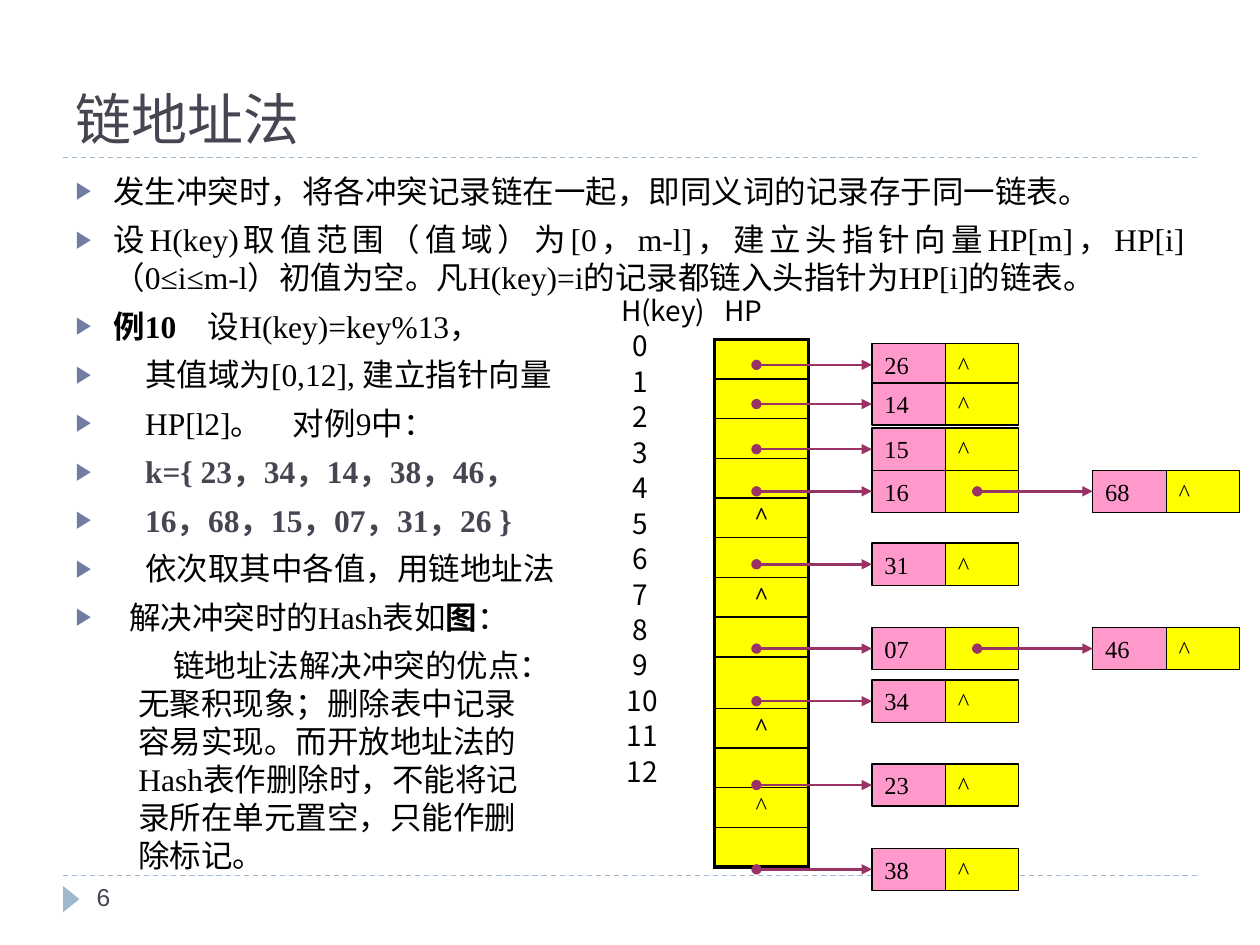
from pptx import Presentation
from pptx.dml.color import RGBColor
from pptx.enum.dml import MSO_LINE_DASH_STYLE as Dash
from pptx.enum.shapes import MSO_CONNECTOR as Connector, MSO_SHAPE as Shape
from pptx.enum.text import MSO_ANCHOR as Anchor, MSO_AUTO_SIZE as AutoSize, PP_ALIGN as Align
from pptx.oxml.ns import qn
from pptx.oxml.xmlchemy import OxmlElement
from pptx.util import Cm, Pt

BLACK, INK, YELLOW, PINK = "000000", "464653", "FFFF00", "FF99CC"
PLUM, PALE_BLUE, BULLET_BLUE = "993366", "9FB8CD", "727CA3"
SERIF, SANS, CHINESE = "Times New Roman", "Arial", "Noto Sans CJK SC"

BODY_LINES = [
    (0.76, [("发生冲突时，将各冲突记录链在一起，即同义词的记录存于同一链表。",)]),
    (0.76, [("设H(key)取值范围（值域）为[0，m-l]，建立头指针向量HP[m]，HP[i]"
             "（0≤i≤m-l）初值为空。凡H(key)=i的记录都链入头指针为HP[i]的链表。",)]),
    (0.76, [("例10", BLACK, True), (" ", BLACK, True, 13.5), ("设H(key)=key%13，",)]),
    (1.4, [("其值域为[0,12], 建立指针向量",)]),
    (1.4, [("HP[l2]。",), (" ", BLACK, False, 13.5), ("对例9中：",)]),
    (1.4, [("k={ 23，34，14，38，46，", INK, True)]),
    (1.4, [("16，68，15，07，31，26 }", INK, True)]),
    (1.4, [("依次取其中各值，用链地址法",)]),
    (1.08, [("解决冲突时的Hash表如",), ("图", BLACK, True), ("：",)]),
]
CHAINS = [
    (6.93, ["26"]), (7.72, ["14"]), (8.63, ["15"]), (9.48, ["16", "68"]),
    (10.95, ["31"]), (12.65, ["07", "46"]), (13.71, ["34"]),
    (15.4, ["23"]), (17.1, ["38"]),
]
EMPTY_BUCKETS = {4: True, 6: True, 9: True, 11: False}


def color(value):
    return RGBColor.from_string(value)


def add_element(parent, tag, **attributes):
    element = OxmlElement(tag)
    for name, value in attributes.items():
        element.set(name, str(value))
    parent.append(element)
    return element


def add_span(para, text, size, font, ink=BLACK, bold=False, spacing=0):
    span = para.add_run()
    span.text = text
    span.font.size = Pt(size)
    span.font.name = font
    span.font.bold = bold
    span.font.color.rgb = color(ink)
    properties = span.font._element
    add_element(properties, "a:ea", typeface=CHINESE)
    if spacing:
        properties.set("spc", str(int(spacing * 100)))


def indent(para, left, first):
    properties = para._p.get_or_add_pPr()
    properties.set("marL", str(Cm(left)))
    properties.set("indent", str(Cm(first)))
    return properties


def next_para(frame, index):
    return frame.add_paragraph() if index else frame.paragraphs[0]


def place(shape, left, top, width, height):
    shape.left, shape.top = Cm(left), Cm(top)
    shape.width, shape.height = Cm(width), Cm(height)


def add_text_box(page, left, top, width, height):
    box = page.shapes.add_textbox(Cm(left), Cm(top), Cm(width), Cm(height))
    box.text_frame.word_wrap = True
    return box.text_frame


def add_line(page, left, top, length, ink, weight):
    line = page.shapes.add_connector(
        Connector.STRAIGHT, Cm(left), Cm(top), Cm(left + length), Cm(top))
    line.line.color.rgb = color(ink)
    line.line.width = Pt(weight)
    add_element(line._element.spPr, "a:effectLst")
    return line


def add_arrow(page, left, top, length):
    line = add_line(page, left, top, length, PLUM, 1.5).line._get_or_add_ln()
    add_element(line, "a:headEnd", type="oval")
    add_element(line, "a:tailEnd", type="triangle")


def draw_frame(page, left, top, width, height):
    for edge in (top, top + height):
        add_line(page, left, edge, width, PALE_BLUE, 0.75).line.dash_style = Dash.DASH
    marker = page.shapes.add_shape(
        Shape.ISOSCELES_TRIANGLE, Cm(left - 0.1), Cm(top + height + 0.31), Cm(0.53), Cm(0.33))
    marker.rotation = 90
    marker.shadow.inherit = False
    marker.fill.solid()
    marker.fill.fore_color.rgb = color(PALE_BLUE)
    marker.line.fill.background()
    number = add_text_box(page, left + 0.43, top + height, 5.51, 1.02)
    add_span(number.paragraphs[0], "6", 14, SANS, INK)


def fill_title(page, left, top, width, height):
    title = page.shapes.title
    place(title, left, top, width, height)
    title.text_frame.vertical_anchor = Anchor.BOTTOM
    title.text_frame.auto_size = AutoSize.NONE
    para = title.text_frame.paragraphs[0]
    para.alignment = Align.LEFT
    add_span(para, "链地址法", 32, SANS, INK)


def fill_body(page, left, top, width, height):
    body = page.placeholders[1]
    place(body, left, top, width, height)
    body.text_frame.auto_size = AutoSize.NONE
    for index, (margin, spans) in enumerate(BODY_LINES):
        para = next_para(body.text_frame, index)
        para.alignment = Align.JUSTIFY if index < 2 else Align.LEFT
        para.line_spacing = Pt(21.7)
        para.space_before = Pt(6)
        properties = indent(para, margin, -margin)
        add_element(add_element(properties, "a:buClr"), "a:srgbClr", val=BULLET_BLUE)
        add_element(properties, "a:buSzPct", val=76000)
        add_element(properties, "a:buFont", typeface=SANS)
        add_element(properties, "a:buChar", char="▶")
        for text, *style in spans:
            add_span(para, text, 18, SERIF, *style)


def draw_remark(page, left, top, width, height):
    para = add_text_box(page, left, top, width, height).paragraphs[0]
    para.line_spacing = Pt(21.7)
    indent(para, 0, 0.7)
    add_span(para, "链地址法解决冲突的优点：无聚积现象；删除表中记录容易实现。"
             "而开放地址法的Hash表作删除时，不能将记录所在单元置空，只能作删除标记。", 18, SERIF)


def draw_hash_labels(page, left, top, width, height):
    frame = add_text_box(page, left, top, width, height)
    for index, label in enumerate(["H(key)", *map(str, range(13))]):
        para = next_para(frame, index)
        para.line_spacing = 0.8
        if index:
            para.space_before = Pt(4.9)
            indent(para, 0.23 if len(label) == 1 else 0.12, 0)
        add_span(para, label, 16, CHINESE)
        if not index:
            add_span(para, " ", 16, CHINESE, spacing=7.2)
            add_span(para, "HP", 16, CHINESE)


def draw_buckets(page, left, top, width, row_height):
    table = page.shapes.add_table(
        13, 1, Cm(left), Cm(top), Cm(width), Cm(row_height * 13)).table
    table.first_row = table.horz_banding = False
    for index, row in enumerate(table.rows):
        row.height = Cm(1.04 if index == 8 else row_height)
        cell = row.cells[0]
        cell.margin_top, cell.margin_bottom = Cm(0.1), 0
        para = cell.text_frame.paragraphs[0]
        para.alignment = Align.CENTER
        if index in EMPTY_BUCKETS:
            add_span(para, "^", 14, SERIF, bold=EMPTY_BUCKETS[index])
        else:
            add_element(para._p, "a:endParaRPr", sz=1200)
        properties = cell._tc.get_or_add_tcPr()
        weights = {"L": 2.25, "R": 2.25, "T": 1 if index else 2.25, "B": 2.25 if index == 12 else 1}
        for side, weight in weights.items():
            border = add_element(properties, "a:ln" + side, w=Pt(weight))
            add_element(add_element(border, "a:solidFill"), "a:srgbClr", val=BLACK)
        cell.fill.solid()
        cell.fill.fore_color.rgb = color(YELLOW)


def draw_node_cell(page, left, top, width, height, fill, text):
    box = page.shapes.add_shape(Shape.RECTANGLE, Cm(left), Cm(top), Cm(width), Cm(height))
    box.shadow.inherit = False
    box.fill.solid()
    box.fill.fore_color.rgb = color(fill)
    box.line.color.rgb = color(BLACK)
    box.line.width = Pt(0.75)
    if text:
        box.text_frame.word_wrap = False
        box.text_frame.vertical_anchor = Anchor.MIDDLE
        para = box.text_frame.paragraphs[0]
        para.alignment = Align.LEFT
        add_span(para, text, 14, SERIF)


def draw_chain(page, left, top, keys, width=1.48, height=0.85):
    for index, key in enumerate(keys):
        x = left + index * 4.45
        pointer = "^" if index == len(keys) - 1 else ""
        draw_node_cell(page, x, top, width, height, PINK, key)
        draw_node_cell(page, x + width, top, width, height, YELLOW, pointer)
        add_arrow(page, x - 2.33, top + height / 2, 2.33)


deck = Presentation()
deck.slide_width, deck.slide_height = Cm(25.4), Cm(19.05)
page = deck.slides.add_slide(deck.slide_layouts[1])
draw_frame(page, 1.27, 3.18, 22.86, 14.47)
fill_title(page, 1.27, 0.43, 22.86, 2.75)
fill_body(page, 1.27, 3.33, 22.86, 13.69)
draw_buckets(page, 14.4, 6.84, 1.9, 0.8)
draw_hash_labels(page, 12.27, 5.92, 4.24, 12.27)
for top, keys in CHAINS:
    draw_chain(page, 17.58, top, keys)
draw_remark(page, 2.54, 12.9, 8.26, 4.83)
deck.save("out.pptx")
